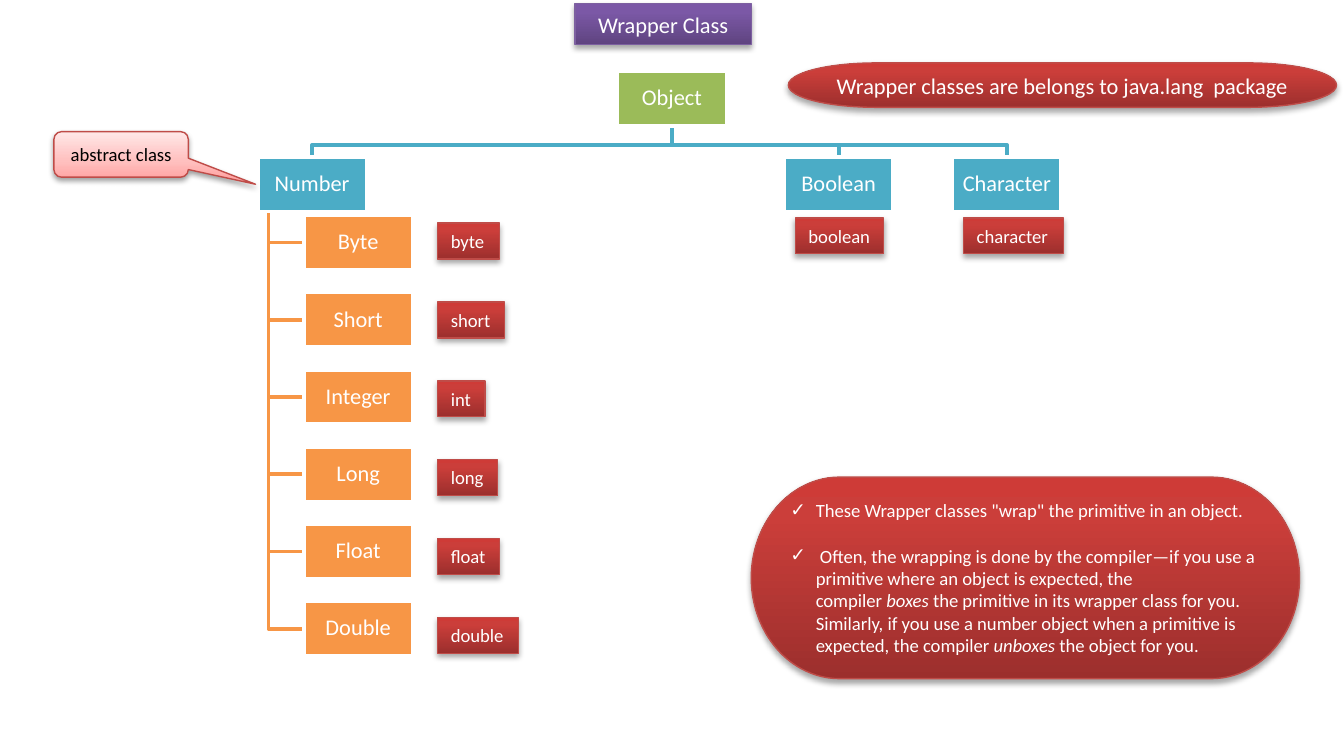
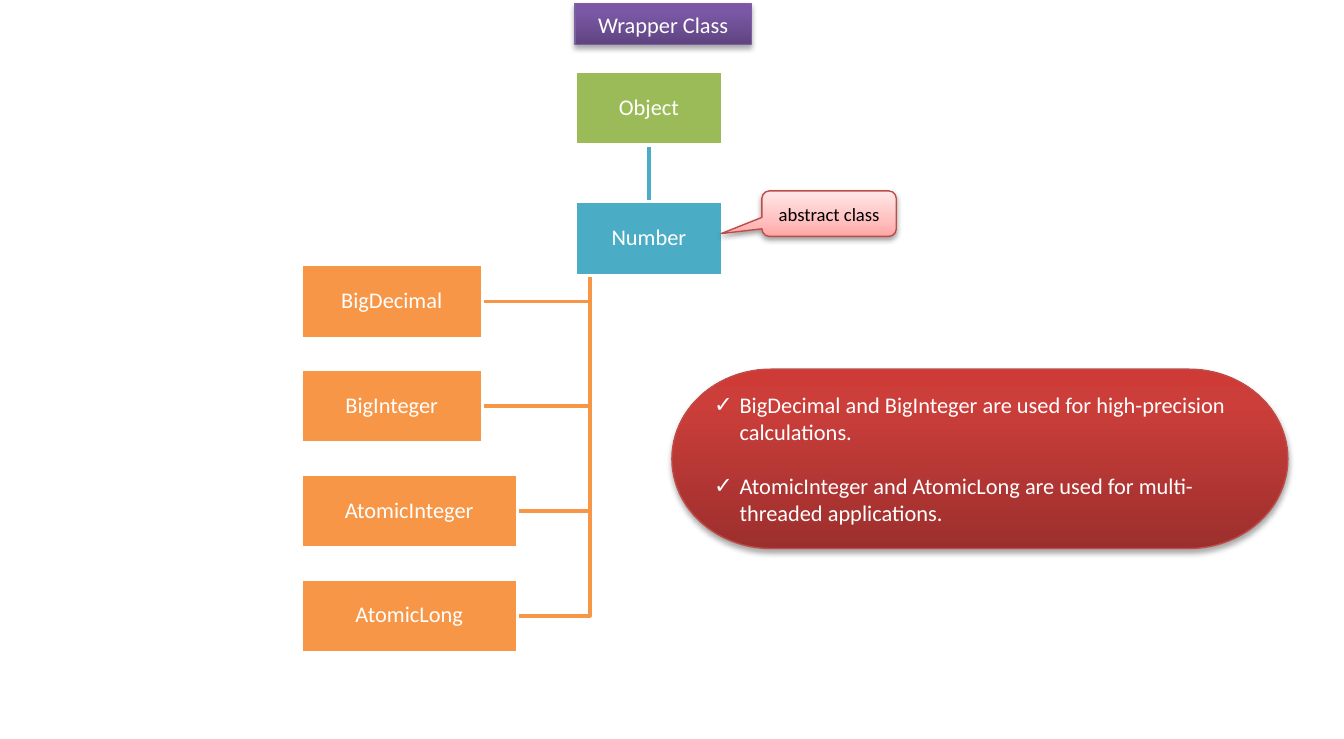
import pptx
import pptx.util
import pptx.oxml
import pptx.dml.color
import pptx.enum.shapes
import pptx.enum.text

Cm = pptx.util.Cm
Pt = pptx.util.Pt
SHAPE = pptx.enum.shapes.MSO_SHAPE
ALIGN = pptx.enum.text.PP_ALIGN
ANCHOR = pptx.enum.text.MSO_ANCHOR
AUTO_SIZE = pptx.enum.text.MSO_AUTO_SIZE
NAMESPACE = 'xmlns:a="http://schemas.openxmlformats.org/drawingml/2006/main"'
NBSP = chr(160)  # keeps neighbouring words on one line

# Content
TITLE = "Wrapper Class"
ROOT = "Object"
PARENT = "Number"
PARENT_REMARK = "abstract class"
PACKAGE_FACT = "Wrapper classes are belongs to java.lang  package"
NUMBER_TYPES = [  # class, primitive, width of the primitive's tag
    ("Byte", "byte", 1.17),
    ("Short", "short", 1.27),
    ("Integer", "int", 0.9),
    ("Long", "long", 1.14),
    ("Float", "float", 1.17),
    ("Double", "double", 1.53),
]
OTHER_TYPES = [  # class, left, primitive, width of the primitive's tag
    ("Boolean", 14.82, "boolean", 1.67),
    ("Character", 18.0, "character", 1.89),
]
BIG_TYPES = [  # class, width
    ("BigDecimal", 3.43),
    ("BigInteger", 3.43),
    ("AtomicInteger", 4.09),
    ("AtomicLong", 4.09),
]
# Each note is a list of (text, italic) runs
WRAPPING_NOTES = [
    [('These Wrapper classes "wrap" the primitive in an object.', False)],
    [
        (f"{NBSP}Often, the wrapping is done by the compiler—if you use a primitive "
         f"where an object is expected, the compiler{NBSP}", False),
        ("boxes", True),
        (f"{NBSP}the primitive in its wrapper class for you. Similarly, if you use a "
         f"number object when a primitive is expected, the compiler{NBSP}", False),
        ("unboxes", True),
        (f"{NBSP}the object for you.", False),
    ],
]
USAGE_NOTES = [
    [(f"BigDecimal{NBSP}and{NBSP}BigInteger{NBSP}are used for high-precision "
      f"calculations.{NBSP}", False)],
    [(f"AtomicInteger{NBSP}and AtomicLong{NBSP}are used for multi-threaded "
      "applications.", False)],
]

# Shared style
FONT = "Calibri"
COLORS = {
    "text": "FFFFFF", "dark": "000000", "border": "FFFFFF",
    "root": "9BBB59", "branch": "4BACC6", "leaf": "F79646",
}
GLOSSES = {  # gradient stops from the bottom up, line, shadow strength and distance
    "purple": ([(0, "5F4480"), (80, "7B58A6"), (100, "7C57A8")], "7D60A0", 35, 1.8),
    "red": ([(0, "9C2F2D"), (80, "CB3E3A"), (100, "CE3B37")], "BF4C48", 35, 1.8),
    "pink": ([(0, "FFA6A5"), (35, "FFC0BF"), (100, "FFE7E7")], "BF4C48", 38, 1.6),
}
TITLE_AREA = (10.87, 0.07, 3.33, 0.77)
TAG_HEIGHT = 0.68
TRUNK_INSET = 0.1  # share of the parent's width


def rgb(name):
    return pptx.dml.color.RGBColor.from_string(COLORS.get(name, name))


def cm(values):
    return [Cm(value) for value in values]


def write_text(shape, paragraphs, size=12, color="text", align=ALIGN.CENTER,
               anchor=ANCHOR.MIDDLE, wrap=True, grow=False, margin=None,
               line_spacing=None, bullet=None):
    frame = shape.text_frame
    frame.word_wrap = wrap
    frame.vertical_anchor = anchor
    frame.auto_size = AUTO_SIZE.SHAPE_TO_FIT_TEXT if grow else AUTO_SIZE.NONE
    if margin is not None:
        frame.margin_left = frame.margin_right = Cm(margin)
        frame.margin_top = frame.margin_bottom = Cm(margin)
    if isinstance(paragraphs, str):
        paragraphs = [[(paragraphs, False)]]
    for index, runs in enumerate(paragraphs):
        paragraph = frame.add_paragraph() if index else frame.paragraphs[0]
        if bullet:
            properties = paragraph._p.get_or_add_pPr()
            properties.set("marL", str(Cm(0.48)))
            properties.set("indent", str(-Cm(0.48)))
            for mark in (f'buFont {NAMESPACE} typeface="{FONT}"',
                         f'buChar {NAMESPACE} char="{bullet}"'):
                properties.append(pptx.oxml.parse_xml(f"<a:{mark}/>"))
        paragraph.alignment = align
        paragraph.line_spacing = line_spacing
        if index:
            paragraph.space_before = Pt(size * 1.22)
        for text, italic in runs:
            run = paragraph.add_run()
            run.text = text
            run.font.name = FONT
            run.font.size = Pt(size)
            run.font.italic = italic
            run.font.color.rgb = rgb(color)


def apply_gloss(shape, gloss):
    """Vertical gradient, thin line and soft shadow below."""
    stops, line, strength, distance = GLOSSES[gloss]
    shape.fill.gradient()
    shape.fill.gradient_angle = 90
    stop_list = shape.fill._fill._gradFill.gsLst
    for stop in list(stop_list):
        stop_list.remove(stop)
    for position, color in stops:
        stop_list.append(pptx.oxml.parse_xml(
            f'<a:gs {NAMESPACE} pos="{position * 1000}"><a:srgbClr val="{color}"/></a:gs>'))
    shape.line.color.rgb = rgb(line)
    shape.line.width = Pt(0.75)
    shape.shadow.inherit = False
    shape._element.spPr.effectLst.append(pptx.oxml.parse_xml(
        f'<a:outerShdw {NAMESPACE} blurRad="{Pt(3.1)}" dist="{Pt(distance)}" '
        f'dir="5400000" rotWithShape="0"><a:srgbClr val="000000">'
        f'<a:alpha val="{strength * 1000}"/></a:srgbClr></a:outerShdw>'))


def add_glossy(slide, kind, area, text, gloss="red", **text_format):
    shape = slide.shapes.add_shape(kind, *cm(area))
    apply_gloss(shape, gloss)
    write_text(shape, text, **text_format)
    return shape


def add_class(slide, name, area, color):
    box = slide.shapes.add_shape(SHAPE.RECTANGLE, *cm(area))
    box.shadow.inherit = False
    box.fill.solid()
    box.fill.fore_color.rgb = rgb(color)
    box.line.color.rgb = rgb("border")
    box.line.width = Pt(2)
    write_text(box, name, margin=0.03, line_spacing=0.9)
    return box


def add_tag(slide, primitive, left, top, width):
    add_glossy(slide, SHAPE.RECTANGLE, (left, top, width, TAG_HEIGHT), primitive,
               size=10, align=ALIGN.LEFT, anchor=ANCHOR.TOP, wrap=False, grow=True)


def add_remark(slide, left, top, tip):
    remark = add_glossy(slide, SHAPE.ROUNDED_RECTANGULAR_CALLOUT, (left, top, 2.54, 0.86),
                        PARENT_REMARK, gloss="pink", size=10, color="dark")
    for index, value in enumerate((*tip, 0.167)):
        remark.adjustments[index] = value


def add_notes(slide, area, notes, size):
    add_glossy(slide, SHAPE.FLOWCHART_TERMINATOR, area, notes,
               size=size, align=ALIGN.LEFT, bullet="✓")


def add_branch(slide, points, color):
    start, *rest = [cm(point) for point in points]
    builder = slide.shapes.build_freeform(*start, scale=1.0)
    builder.add_line_segments(rest, close=False)
    branch = builder.convert_to_shape()
    branch.shadow.inherit = False
    branch.fill.background()
    branch.line.color.rgb = rgb(color)
    branch.line.width = Pt(2)


def add_leaf_branches(slide, parent, leaves, side):
    """Elbows from the parent's trunk to the left (0) or right (1) side of each leaf."""
    left, top, width, height = parent
    trunk = left + width * TRUNK_INSET
    for leaf_left, leaf_top, leaf_width, leaf_height in leaves:
        middle = leaf_top + leaf_height / 2
        end = leaf_left + leaf_width * side
        add_branch(slide, [(trunk, top + height), (trunk, middle), (end, middle)], "leaf")


def add_titled_slide(deck):
    slide = deck.slides.add_slide(deck.slide_layouts[5])
    title = slide.shapes.title
    title.left, title.top, title.width, title.height = cm(TITLE_AREA)
    apply_gloss(title, "purple")
    write_text(title, TITLE)
    return slide


def build_primitives(deck):
    slide = add_titled_slide(deck)
    width, height = 2.06, 1.03
    root = (11.67, 1.35, width, height)
    row_top = 2.97
    parent = (4.87, row_top, width, height)
    others = [(left, row_top, width, height) for _, left, _, _ in OTHER_TYPES]
    leaves = [(5.74, 4.07 + 1.46 * i, width, height) for i in range(len(NUMBER_TYPES))]

    # Branches
    root_x, bend = root[0] + width / 2, 2.74
    for left, top, _, _ in [parent, *others]:
        x = left + width / 2
        add_branch(slide, [(root_x, root[1] + height), (root_x, bend), (x, bend), (x, top)],
                   "branch")
    add_leaf_branches(slide, parent, leaves, side=0)

    # Classes and their primitives
    add_class(slide, ROOT, root, "root")
    add_class(slide, PARENT, parent, "branch")
    for (name, left, primitive, tag_width), area in zip(OTHER_TYPES, others):
        add_class(slide, name, area, "branch")
        add_tag(slide, primitive, left + 0.21, row_top + height + 0.12, tag_width)
    for i, ((name, primitive, tag_width), area) in enumerate(zip(NUMBER_TYPES, leaves)):
        add_class(slide, name, area, "leaf")
        add_tag(slide, primitive, 8.27, 4.22 + 1.49 * i, tag_width)

    # Remarks
    add_glossy(slide, SHAPE.FLOWCHART_TERMINATOR, (14.9, 1.19, 10.36, 0.84), PACKAGE_FACT)
    add_remark(slide, 1.02, 2.49, tip=(1, 0.656))
    add_notes(slide, (14.2, 9.02, 10.36, 3.81), WRAPPING_NOTES, size=10)


def build_big_numbers(deck):
    slide = add_titled_slide(deck)
    width, height = 2.79, 1.4
    root = (10.87, 1.35, width, height)
    parent = (10.87, 3.81, width, height)
    leaves = [(5.69, 5 + 1.98 * i, leaf_width, height)
              for i, (_, leaf_width) in enumerate(BIG_TYPES)]

    # Classes
    add_leaf_branches(slide, parent, leaves, side=1)
    root_box = add_class(slide, ROOT, root, "root")
    parent_box = add_class(slide, PARENT, parent, "branch")
    for (name, _), area in zip(BIG_TYPES, leaves):
        add_class(slide, name, area, "leaf")

    # Link from root to parent, placed behind both boxes
    link = slide.shapes.add_connector(pptx.enum.shapes.MSO_CONNECTOR.STRAIGHT, 0, 0, 0, 0)
    link.begin_connect(root_box, 2)
    link.end_connect(parent_box, 0)
    link.line.color.rgb = rgb("branch")
    link.line.width = Pt(2)
    link._element.spPr.append(pptx.oxml.parse_xml(f"<a:effectLst {NAMESPACE}/>"))
    root_box._element.addprevious(link._element)

    # Remarks
    add_remark(slide, 14.4, 3.61, tip=(-0.802, 0.438))
    add_notes(slide, (12.7, 6.98, 11.64, 3.39), USAGE_NOTES, size=12)


def main():
    deck = pptx.Presentation()
    deck.slide_width, deck.slide_height = Cm(25.4), Cm(13.97)
    build_primitives(deck)
    build_big_numbers(deck)
    deck.save("out.pptx")


if __name__ == "__main__":
    main()
